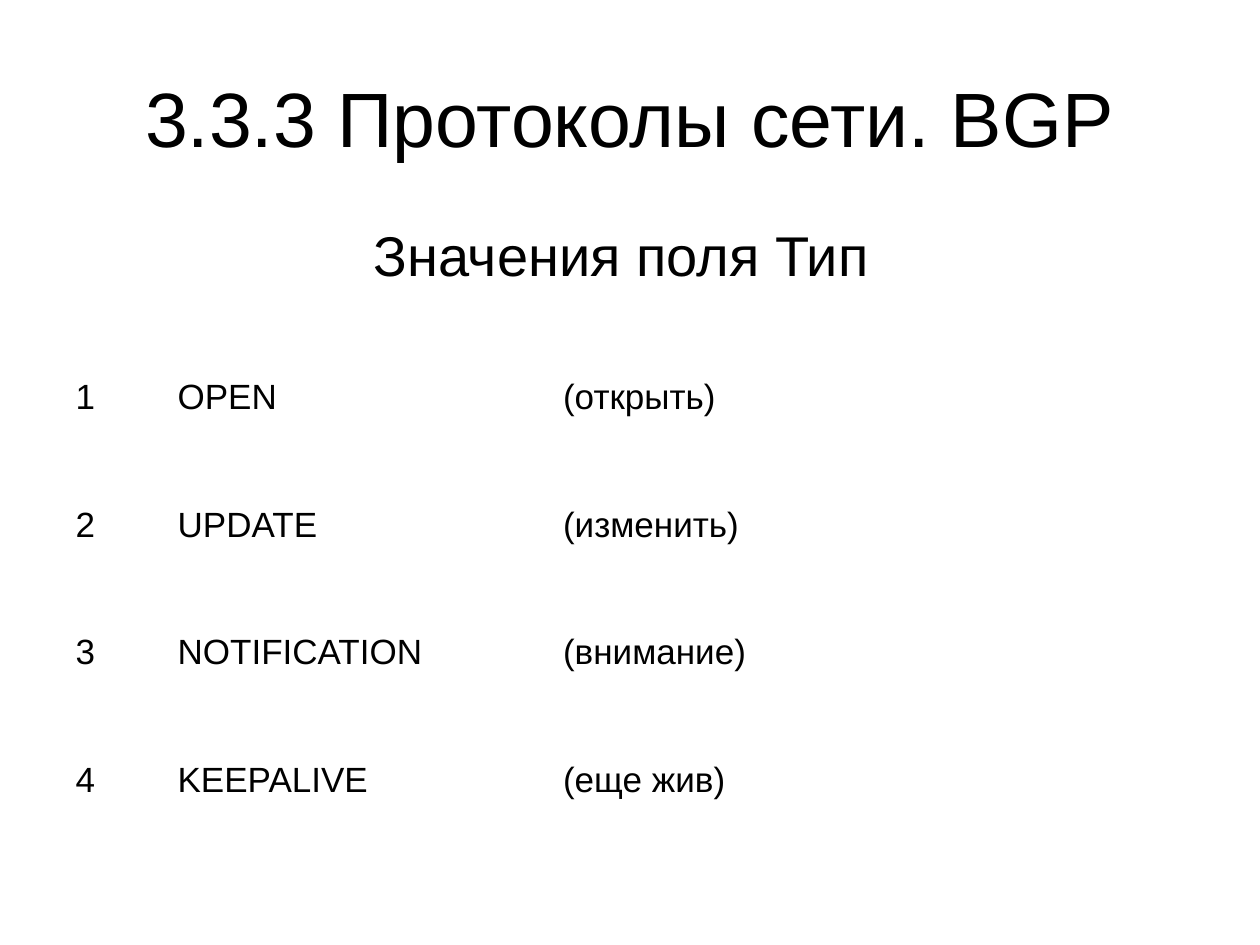
from pptx import Presentation
from pptx.dml.color import RGBColor
from pptx.enum.text import MSO_ANCHOR, PP_ALIGN
from pptx.util import Pt

MIDDLE = MSO_ANCHOR.MIDDLE
CENTER = PP_ALIGN.CENTER
FONT = "Arial"
COLORS = {"text": "000000"}

ROWS = [
    ("1", "OPEN", "(открыть)"),
    ("2", "UPDATE", "(изменить)"),
    ("3", "NOTIFICATION", "(внимание)"),
    ("4", "KEEPALIVE", "(еще жив)"),
]
WIDTHS = (58.3, 220.3, 369.4)


def add_run(para, text, size):
    run = para.add_run()
    run.text = text
    run.font.name = FONT
    run.font.size = Pt(size)
    run.font.color.rgb = RGBColor.from_string(COLORS["text"])


def add_title(slide, box, text, size):
    frame = slide.shapes.add_textbox(*map(Pt, box)).text_frame
    frame.word_wrap = True
    frame.vertical_anchor = MIDDLE
    para = frame.paragraphs[0]
    para.alignment = CENTER
    add_run(para, text, size)


def add_types(slide, box):
    table = slide.shapes.add_table(len(ROWS), len(WIDTHS), *map(Pt, box)).table
    table.first_row = False
    table.horz_banding = False
    for col, width in zip(table.columns, WIDTHS):
        col.width = Pt(width)
    for row, texts in zip(table.rows, ROWS):
        row.height = Pt(box[3] / len(ROWS))
        for cell, text in zip(row.cells, texts):
            cell.fill.background()
            cell.vertical_anchor = MIDDLE
            add_run(cell.text_frame.paragraphs[0], text, 20)


def main():
    prs = Presentation()
    prs.slide_width, prs.slide_height = Pt(720), Pt(540)
    slide = prs.slides.add_slide(prs.slide_layouts[6])

    # Heading
    add_title(slide, (36, 21.6, 648, 90), "3.3.3 Протоколы сети. BGP", 44)
    # Message types
    add_types(slide, (36, 190.8, 648, 291.6))
    # Table caption
    add_title(slide, (31, 100.1, 648, 90), "Значения поля Тип", 32)

    prs.save("out.pptx")


if __name__ == "__main__":
    main()
